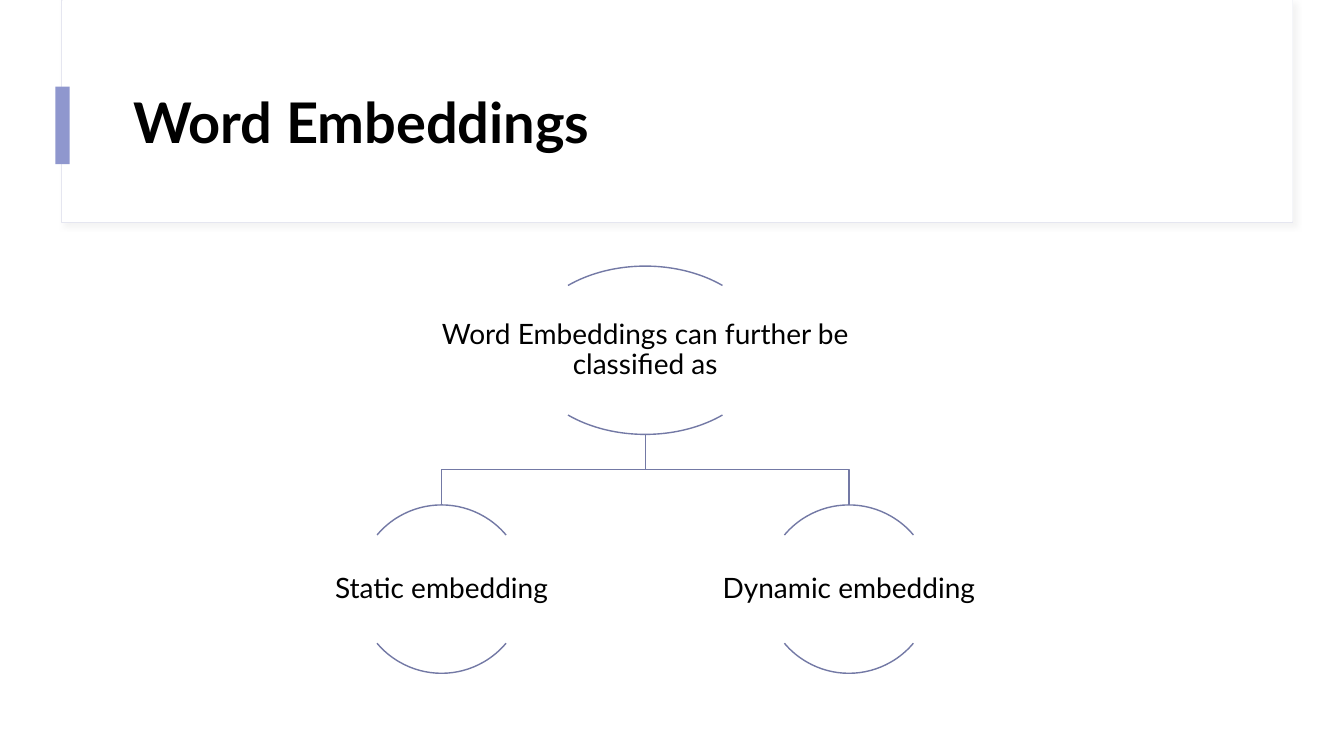
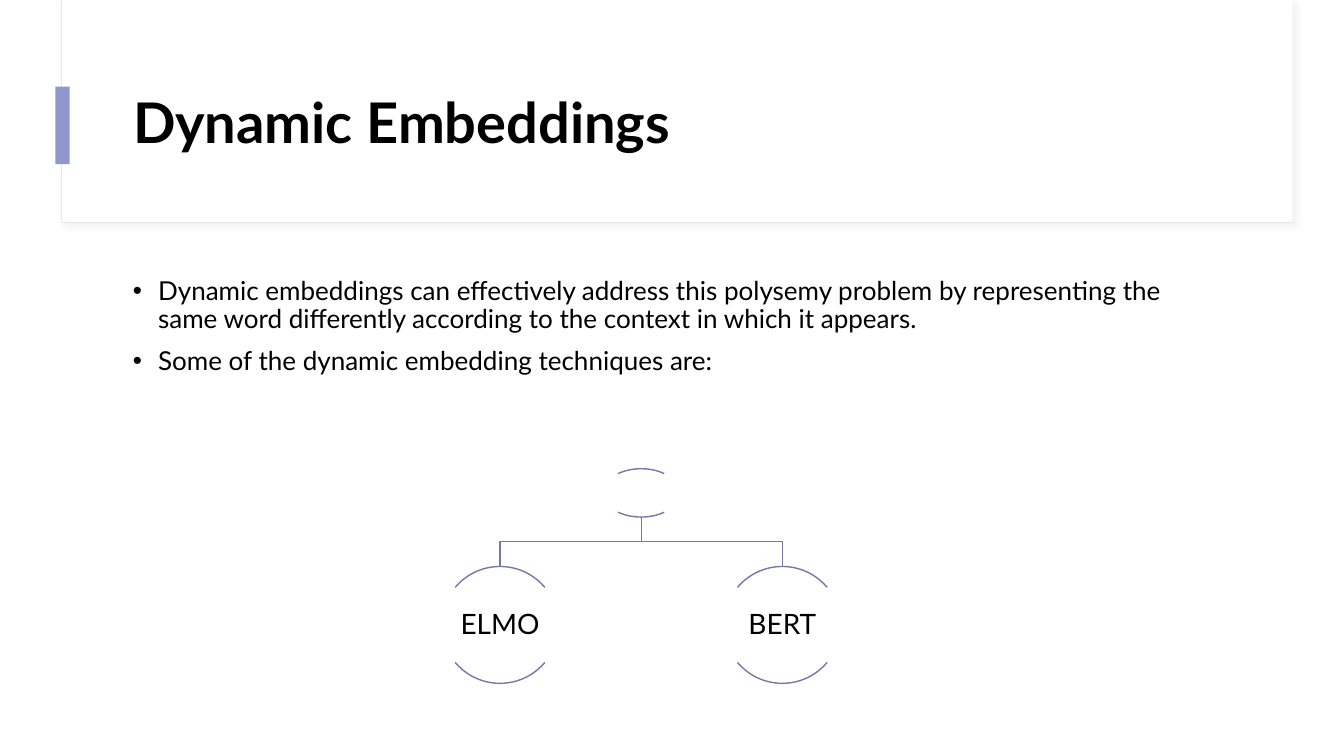
from lxml.etree import SubElement
from pptx import Presentation
from pptx.dml.color import RGBColor
from pptx.enum.shapes import MSO_SHAPE
from pptx.enum.text import MSO_ANCHOR, MSO_AUTO_SIZE, PP_ALIGN
from pptx.oxml.ns import qn
from pptx.util import Inches, Pt

FONT = "Lato"
BLACK = RGBColor(0x00, 0x00, 0x00)
WHITE = RGBColor(0xFF, 0xFF, 0xFF)
ACCENT = RGBColor(0x8F, 0x97, 0xCE)
BAND_LINE = RGBColor(0xE5, 0xE6, 0xF0)
TREE_LINE = RGBColor(0x73, 0x79, 0xA5)
SHADOW = RGBColor(0xD9, 0xD9, 0xD9)

TOP_ARC = (132, 192)
BOTTOM_ARC = (24, 84)


def write_text(frame, *texts, size=20, bold=False, align=PP_ALIGN.LEFT,
               anchor=MSO_ANCHOR.MIDDLE, inset=None, bullet=None, space_before=0):
    """Fill a text frame with one paragraph per text, all in the same format."""
    frame.word_wrap = True
    frame.auto_size = MSO_AUTO_SIZE.NONE
    frame.vertical_anchor = anchor
    if inset is not None:
        frame.margin_left = frame.margin_right = Inches(inset)
        frame.margin_top = frame.margin_bottom = Inches(inset)
    for index, text in enumerate(texts):
        para = frame.paragraphs[0] if index == 0 else frame.add_paragraph()
        para.alignment = align
        para.line_spacing = 0.9
        para.space_before = Pt(space_before)
        span = para.add_run()
        span.text = text
        span.font.name = FONT
        span.font.size = Pt(size)
        span.font.bold = bold
        span.font.color.rgb = BLACK
        if bullet:
            add_bullet(para, bullet)


def add_bullet(para, character):
    properties = para._p.get_or_add_pPr()
    properties.set("marL", str(Inches(0.25)))
    properties.set("indent", str(Inches(-0.25)))
    SubElement(properties, qn("a:buFont"), typeface="Arial")
    SubElement(properties, qn("a:buChar"), char=character)


def format_outline(shape, color, width):
    shape.line.color.rgb = color
    shape.line.width = Pt(width)


def add_rectangle(slide, left, top, width, height, fill):
    shape = slide.shapes.add_shape(MSO_SHAPE.RECTANGLE, Inches(left), Inches(top),
                                   Inches(width), Inches(height))
    shape.shadow.inherit = False
    shape.fill.solid()
    shape.fill.fore_color.rgb = fill
    shape.line.fill.background()
    return shape


def add_soft_shadow(shape):
    effects = shape._element.spPr.find(qn("a:effectLst"))
    shadow = SubElement(effects, qn("a:outerShdw"), blurRad=str(Pt(4)), dist=str(Pt(3)),
                        dir=str(45 * 60000), algn="tl", rotWithShape="0")
    color = SubElement(shadow, qn("a:srgbClr"), val=str(SHADOW))
    SubElement(color, qn("a:alpha"), val="30000")


def add_titled_slide(deck, text):
    """Add a slide with the title band, the accent bar and the title on top."""
    slide = deck.slides.add_slide(deck.slide_layouts[5])
    band = add_rectangle(slide, 0.61, 0, 12.21, 2.21, WHITE)
    format_outline(band, BAND_LINE, 0.75)
    add_soft_shadow(band)
    add_rectangle(slide, 0.62, 0, 12.2, 2.2, WHITE)
    add_rectangle(slide, 0.55, 0.86, 0.14, 0.77, ACCENT)

    title = slide.shapes.title
    title.left, title.top = Inches(1.22), Inches(0.6)
    title.width, title.height = Inches(11.12), Inches(1.29)
    write_text(title.text_frame, text, size=40, bold=True)
    slide.shapes._spTree.append(title._element)
    return slide


def add_text_box(slide, left, top, width, height, *texts, **text_format):
    box = slide.shapes.add_textbox(Inches(left), Inches(top), Inches(width), Inches(height))
    write_text(box.text_frame, *texts, **text_format)


def add_node(slide, center, top, width, height, text):
    """Draw an arc above and below a label; the label is twice as wide as the arcs."""
    for angles in (TOP_ARC, BOTTOM_ARC):
        arc = slide.shapes.add_shape(MSO_SHAPE.ARC, Inches(center - width / 2), Inches(top),
                                     Inches(width), Inches(height))
        arc.adjustments[0], arc.adjustments[1] = angles
        arc.shadow.inherit = False
        arc.fill.background()
        format_outline(arc, TREE_LINE, 1)
    if text:
        add_text_box(slide, center - width, top + 0.18 * height, 2 * width, 0.64 * height,
                     text, align=PP_ALIGN.CENTER, inset=0.01)


def add_branch(slide, start_x, start_y, end_x, end_y):
    middle = (start_y + end_y) / 2
    corners = [(start_x, middle), (end_x, middle), (end_x, end_y)]
    builder = slide.shapes.build_freeform(Inches(start_x), Inches(start_y))
    builder.add_line_segments([(Inches(x), Inches(y)) for x, y in corners], close=False)
    branch = builder.convert_to_shape()
    branch.shadow.inherit = False
    branch.fill.background()
    format_outline(branch, TREE_LINE, 1)


def add_tree(slide, center, top, root_size, child_top, child_size, spread, labels, root_text=""):
    """Draw a root node and two children, each `spread` inches from the centre."""
    root_width, root_height = root_size
    children = [(center - spread, labels[0]), (center + spread, labels[1])]
    for child_center, _ in children:
        add_branch(slide, center, top + root_height, child_center, child_top)
    add_node(slide, center, top, root_width, root_height, root_text)
    for child_center, label in children:
        add_node(slide, child_center, child_top, child_size, child_size, label)


def main():
    deck = Presentation()
    deck.slide_width, deck.slide_height = Inches(13.33), Inches(7.5)

    overview = add_titled_slide(deck, "Word Embeddings")
    add_tree(overview, center=6.4, top=2.64, root_size=(2.4, 1.67),
             child_top=5.01, child_size=1.67, spread=2.02,
             labels=("Static embedding", "Dynamic embedding"),
             root_text="Word Embeddings can further be classified as")

    dynamic = add_titled_slide(deck, "Dynamic Embeddings")
    add_text_box(dynamic, 1.22, 2.71, 10.52, 1.4,
                 "Dynamic embeddings can effectively address this polysemy problem by "
                 "representing the same word differently according to the context in "
                 "which it appears.",
                 "Some of the dynamic embedding techniques are:",
                 size=18.6, anchor=MSO_ANCHOR.TOP, bullet="•", space_before=10)
    add_tree(dynamic, center=6.36, top=4.65, root_size=(0.76, 0.48),
             child_top=5.62, child_size=1.16, spread=1.4, labels=("ELMO", "BERT"))

    deck.save("out.pptx")


if __name__ == "__main__":
    main()
